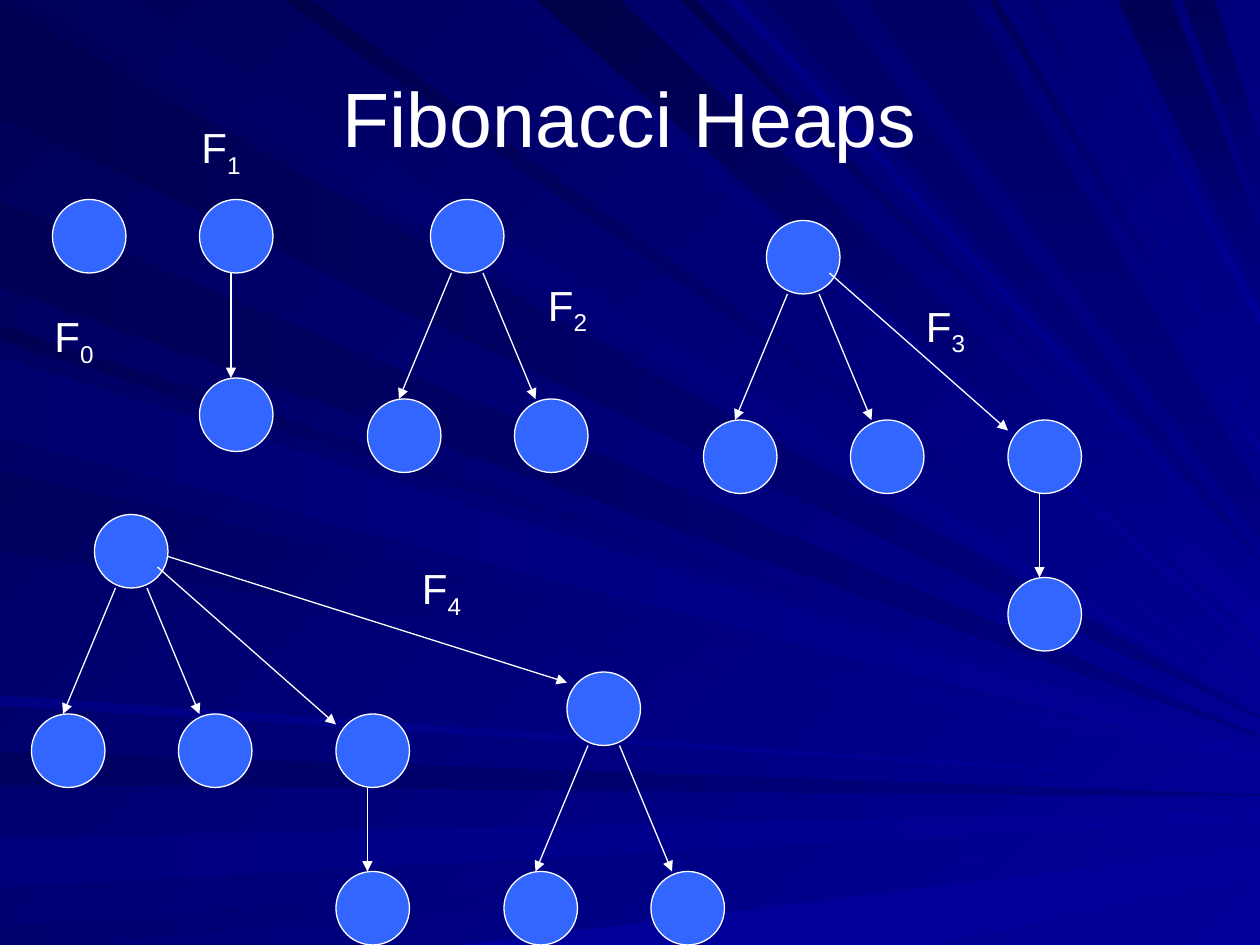
"""Build the Fibonacci heaps slide: trees F0 to F4 over a background of light rays."""
from dataclasses import dataclass
from enum import Enum

from lxml.etree import SubElement
from pptx import Presentation
from pptx.dml.color import RGBColor
from pptx.dml.fill import FillFormat
from pptx.enum.shapes import MSO_CONNECTOR, MSO_SHAPE
from pptx.enum.text import MSO_ANCHOR, PP_ALIGN
from pptx.oxml.ns import qn
from pptx.slide import Slide
from pptx.util import Cm, Length, Pt

WHITE = "FFFFFF"
NODE_BLUE = "3366FF"
NODE_SIZE = 7
CHILD_DROP = 19
RAY_UNIT = Cm(0.0254)
RIGHT = 1000
BOTTOM = 750


class Edge(Enum):
    """Side of the slide where a ray is widest."""
    LEFT = "left"
    TOP = "top"
    BOTTOM = "bottom"


class Glow(Enum):
    """End colour and clockwise angle of a ray gradient."""
    DIM = ("000080", 0)
    FALLING = ("000080", 90)
    LEVEL = ("000099", 0)
    SLANTED = ("000099", 45)


@dataclass
class Ray:
    edge: Edge
    upper: int
    lower: int
    tip: int
    start: str
    glow: Glow
    spread: int = 1


@dataclass
class Label:
    index: str
    x: int
    y: int


RAYS = [
    Ray(Edge.LEFT, 2, 93, 569, "000051", Glow.DIM),
    Ray(Edge.TOP, 101, 26, 562, "00005D", Glow.SLANTED),
    Ray(Edge.LEFT, 596, 623, 631, "000061", Glow.DIM),
    Ray(Edge.LEFT, 665, 704, 643, "00007D", Glow.LEVEL, 8),
    Ray(Edge.LEFT, 735, 755, 662, "00006F", Glow.LEVEL),
    Ray(Edge.BOTTOM, 364, 742, 672, "000099", Glow.LEVEL, 22),
    Ray(Edge.LEFT, 258, 270, 589, "000053", Glow.SLANTED),
    Ray(Edge.LEFT, 159, 228, 584, "000055", Glow.DIM),
    Ray(Edge.TOP, 416, 398, 515, "00006B", Glow.SLANTED, 6),
    Ray(Edge.TOP, 492, 426, 479, "000047", Glow.SLANTED, 28),
    Ray(Edge.TOP, 552, 540, 463, "00004F", Glow.SLANTED),
    Ray(Edge.TOP, 661, 606, 445, "000065", Glow.FALLING),
    Ray(Edge.TOP, 930, 887, 183, "000055", Glow.FALLING, 54),
    Ray(Edge.TOP, 964, 939, 114, "000059", Glow.FALLING, 53),
    Ray(Edge.LEFT, 278, 342, 596, "000061", Glow.SLANTED, 6),
    Ray(Edge.LEFT, 374, 437, 605, "00005D", Glow.SLANTED),
    Ray(Edge.LEFT, 552, 560, 621, "000082", Glow.LEVEL),
    Ray(Edge.TOP, 247, 225, 547, "00004A", Glow.SLANTED, 5),
    Ray(Edge.TOP, 588, 577, 453, "000082", Glow.SLANTED),
    Ray(Edge.TOP, 770, 686, 390, "000065", Glow.FALLING, 38),
    Ray(Edge.TOP, 792, 785, 354, "000058", Glow.SLANTED, 6),
    Ray(Edge.TOP, 824, 815, 335, "00006F", Glow.SLANTED),
    Ray(Edge.TOP, 872, 865, 249, "000079", Glow.SLANTED, 9),
    Ray(Edge.LEFT, 283, 347, 601, "00006F", Glow.LEVEL, 5),
]

LABELS = [Label("0", 4, 29), Label("1", 18, 11), Label("2", 51, 26), Label("3", 87, 28), Label("4", 39, 53)]


def grid(units: float) -> Length:
    """Convert grid units, twelve to 2.54 cm, to a length."""
    return Cm(units * 2.54 / 12)


def color(value: str) -> RGBColor:
    """Turn a hex string into a colour."""
    return RGBColor.from_string(value)


def paint(fill: FillFormat, start: str, glow: Glow | None = None) -> None:
    """Apply a solid fill, or a gradient that ends in a glow."""
    if glow is None:
        fill.solid()
        fill.fore_color.rgb = color(start)
        return
    end, angle = glow.value
    fill.gradient()
    fill.gradient_angle = (360 - angle) % 360
    for stop, value in zip(fill.gradient_stops, (start, end)):
        stop.color.rgb = color(value)


def edge_point(edge: Edge, distance: int) -> tuple[int, int]:
    """Locate a point along one side of the slide."""
    if edge is Edge.LEFT:
        return 0, distance
    return distance, BOTTOM if edge is Edge.BOTTOM else 0


def draw_ray(slide: Slide, ray: Ray) -> None:
    """Draw one ray that narrows towards the right side."""
    builder = slide.shapes.build_freeform(*edge_point(ray.edge, ray.upper), scale=RAY_UNIT)
    builder.add_line_segments(
        [edge_point(ray.edge, ray.lower), (RIGHT, ray.tip + ray.spread), (RIGHT, ray.tip)], close=True)
    shape = builder.convert_to_shape()
    shape.shadow.inherit = False
    shape.line.fill.background()
    paint(shape.fill, ray.start, ray.glow)


def draw_node(slide: Slide, x: int, y: int) -> None:
    """Draw one heap node."""
    shape = slide.shapes.add_shape(MSO_SHAPE.OVAL, grid(x), grid(y), grid(NODE_SIZE), grid(NODE_SIZE))
    shape.shadow.inherit = False
    paint(shape.fill, NODE_BLUE)
    shape.line.color.rgb = color(WHITE)
    shape.line.width = Pt(0.75)


def draw_arrow(slide: Slide, x1: int, y1: int, x2: int, y2: int) -> None:
    """Draw an arrow from a parent to a child."""
    connector = slide.shapes.add_connector(MSO_CONNECTOR.STRAIGHT, grid(x1), grid(y1), grid(x2), grid(y2))
    connector.line.color.rgb = color(WHITE)
    connector.line.width = Pt(0.75)
    SubElement(connector.line._get_or_add_ln(), qn("a:tailEnd"), type="triangle")
    SubElement(connector._element.spPr, qn("a:effectLst"))


def draw_chain(slide: Slide, x: int, y: int, drop: int) -> None:
    """Draw a root with a single child below it."""
    draw_node(slide, x, y)
    draw_arrow(slide, x + 3, y + NODE_SIZE, x + 3, y + drop)
    draw_node(slide, x, y + drop)


def draw_pair(slide: Slide, x: int, y: int) -> None:
    """Draw a root with two children."""
    draw_node(slide, x, y)
    for child, tail, head in ((-6, 2, -3), (8, 5, 10)):
        draw_node(slide, x + child, y + CHILD_DROP)
        draw_arrow(slide, x + tail, y + NODE_SIZE, x + head, y + CHILD_DROP)


def draw_triple(slide: Slide, x: int, y: int) -> None:
    """Draw a pair whose root also holds a chain."""
    draw_pair(slide, x, y)
    draw_chain(slide, x + 23, y + CHILD_DROP, 15)
    draw_arrow(slide, x + 6, y + 5, x + 23, y + CHILD_DROP + 1)


def draw_quadruple(slide: Slide, x: int, y: int) -> None:
    """Draw a triple whose root also holds a pair."""
    draw_triple(slide, x, y)
    draw_pair(slide, x + 45, y + 15)
    draw_arrow(slide, x + 7, y + 4, x + 45, y + 16)


def draw_text(slide: Slide, box: tuple[Length, ...], text: str, size: int, index: str = "",
              anchor: MSO_ANCHOR = MSO_ANCHOR.TOP, alignment: PP_ALIGN = PP_ALIGN.LEFT) -> None:
    """Draw a line of text with an optional subscript."""
    frame = slide.shapes.add_textbox(*box).text_frame
    for name, value in {"word_wrap": True, "vertical_anchor": anchor}.items():
        setattr(frame, name, value)
    paragraph = frame.paragraphs[0]
    paragraph.alignment = alignment
    for part in filter(None, (text, index)):
        run = paragraph.add_run()
        run.text = part
        for name, value in {"name": "Arial", "size": Pt(size)}.items():
            setattr(run.font, name, value)
        run.font.color.rgb = color(WHITE)
    if index:
        run._r.get_or_add_rPr().set("baseline", "-25000")


def main() -> None:
    """Build and save the presentation."""
    presentation = Presentation()
    for name, value in {"slide_width": Cm(25.4), "slide_height": Cm(19.05)}.items():
        setattr(presentation, name, value)
    slide = presentation.slides.add_slide(presentation.slide_layouts[6])
    paint(slide.background.fill, "000058", Glow.SLANTED)
    for ray in RAYS:
        draw_ray(slide, ray)
    draw_text(slide, (Cm(1.27), Cm(0.76), Cm(22.86), Cm(3.18)), "Fibonacci Heaps", 44,
              anchor=MSO_ANCHOR.MIDDLE, alignment=PP_ALIGN.CENTER)
    draw_node(slide, 5, 19)
    draw_chain(slide, 19, 19, 17)
    draw_pair(slide, 41, 19)
    draw_triple(slide, 73, 21)
    draw_quadruple(slide, 9, 49)
    for label in LABELS:
        draw_text(slide, (grid(label.x), grid(label.y), grid(9), grid(6.72)), "F", 24, label.index)
    presentation.save("out.pptx")


if __name__ == "__main__":
    main()
